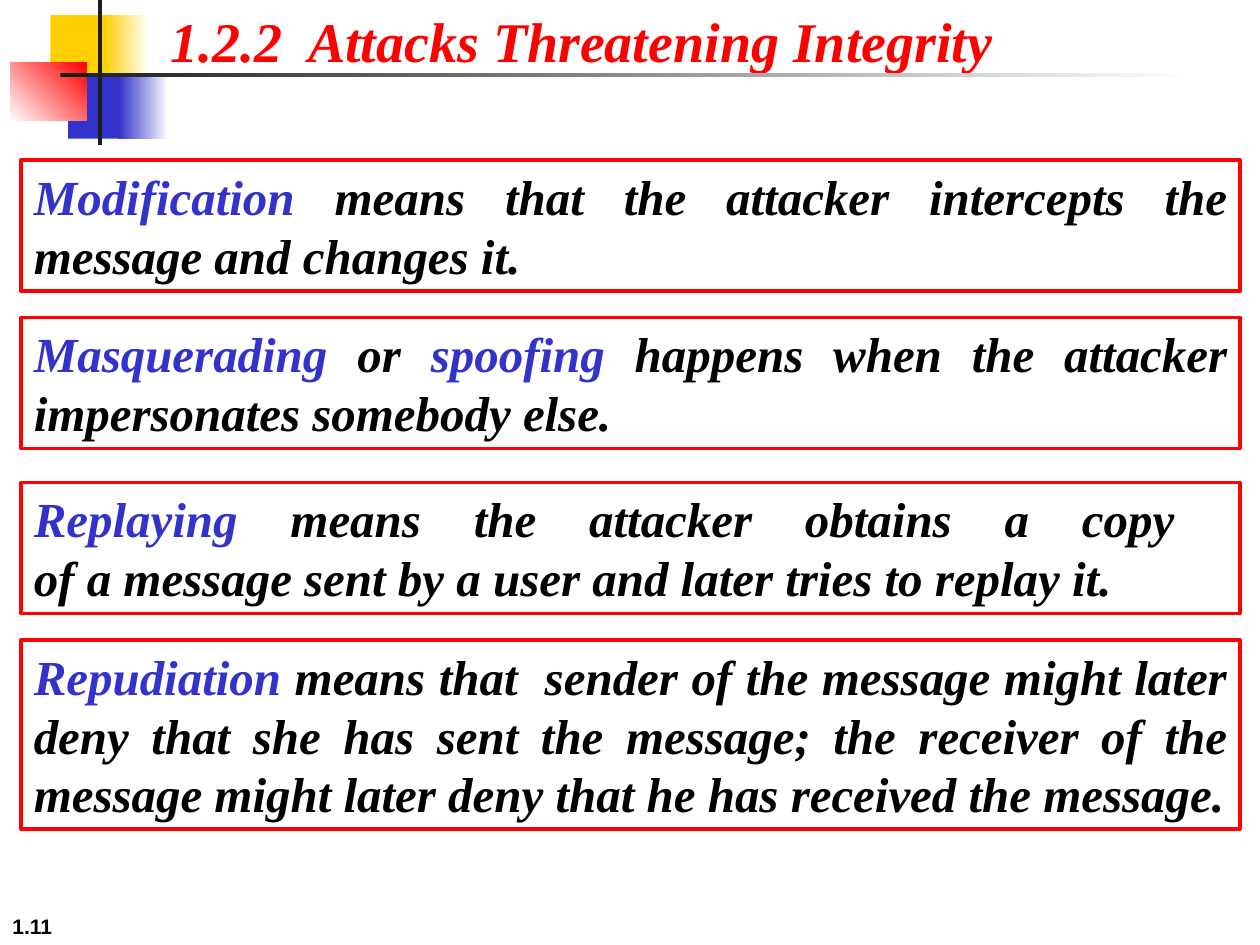
import pptx
import pptx.util
import pptx.dml.color
import pptx.enum.shapes
import pptx.enum.text

Inches = pptx.util.Inches
Pt = pptx.util.Pt

RED, BLUE, YELLOW = "FF0000", "3333CC", "FFCF01"
BLACK, CHARCOAL, WHITE = "000000", "1C1C1C", "FFFFFF"

DECORATION = [
    ((0.4, 0.12, 0.48, 0.52), [YELLOW], 0),
    ((0.82, 0.12, 0.36, 0.52), [YELLOW, WHITE], 0),
    ((0.54, 0.58, 0.46, 0.52), [BLUE], 0),
    ((0.94, 0.58, 0.4, 0.52), [BLUE, WHITE], 0),
    ((0.08, 0.5, 0.61, 0.46), [WHITE, RED], 45),
    ((0.78, 0, 0.03, 1.15), [CHARCOAL], 0),
    ((0.48, 0.58, 9, 0.03), [CHARCOAL, WHITE], 0),
]

DEFINITIONS = [
    (1.27, 1.04, "*Modification *means that the attacker intercepts the "
     "message and changes it."),
    (2.52, 1.04, "*Masquerading* or *spoofing* happens when the attacker "
     "impersonates somebody else."),
    (3.83, 1.04, "*Replaying* means the attacker obtains a copy \n"
     "of a message sent by a user and later tries to replay it. "),
    (5.08, 1.5, "*Repudiation* means that  sender of the message might later "
     "deny that she has sent the message; the receiver of the message might "
     "later deny that he has received the message."),
]


def rgb(value):
    return pptx.dml.color.RGBColor.from_string(value)


def set_font(font, name, size, italic):
    font.name = name
    font.size = Pt(size)
    font.bold = True
    font.italic = italic


def add_rectangle(slide, box):
    rectangle = slide.shapes.add_shape(
        pptx.enum.shapes.MSO_SHAPE.RECTANGLE, *map(Inches, box))
    rectangle.shadow.inherit = False
    return rectangle


def add_decoration(slide, box, colours, angle):
    block = add_rectangle(slide, box)
    block.line.fill.background()
    if len(colours) == 1:
        block.fill.solid()
        block.fill.fore_color.rgb = rgb(colours[0])
        return
    block.fill.gradient()
    block.fill.gradient_angle = angle
    for stop, colour in zip(block.fill.gradient_stops, colours):
        stop.color.rgb = rgb(colour)


def add_page_number(slide, number):
    page = slide.shapes.add_textbox(*map(Inches, (0, 7, 2.08, 0.5)))
    page.text_frame.word_wrap = True
    page.text_frame.vertical_anchor = pptx.enum.text.MSO_ANCHOR.BOTTOM
    paragraph = page.text_frame.paragraphs[0]
    paragraph.text = number
    set_font(paragraph.font, "Arial", 12, False)
    paragraph.font.color.rgb = rgb(BLACK)


def set_title(slide, words):
    title = slide.shapes.title
    title.left, title.top, title.width, title.height = map(
        Inches, (1.25, 0, 6.75, 0.64))
    frame = title.text_frame
    frame.text = words
    frame.word_wrap = False
    frame.auto_size = pptx.enum.text.MSO_AUTO_SIZE.NONE
    frame.vertical_anchor = pptx.enum.text.MSO_ANCHOR.TOP
    paragraph = frame.paragraphs[0]
    paragraph.alignment = pptx.enum.text.PP_ALIGN.LEFT
    set_font(paragraph.font, "Times New Roman", 32, True)
    paragraph.font.color.rgb = rgb(RED)


def add_definition(slide, top, height, marked_text):
    definition = add_rectangle(slide, (0.17, top, 9.67, height))
    definition.fill.background()
    definition.line.color.rgb = rgb(RED)
    definition.line.width = Pt(2.25)
    frame = definition.text_frame
    frame.word_wrap = True
    frame.vertical_anchor = pptx.enum.text.MSO_ANCHOR.TOP
    paragraph = frame.paragraphs[0]
    paragraph.alignment = pptx.enum.text.PP_ALIGN.JUSTIFY
    set_font(paragraph.font, "Times New Roman", 28, True)
    for index, part in enumerate(marked_text.split("*")):
        for line_index, words in enumerate(part.split("\n")):
            if line_index:
                paragraph.add_line_break()
            if words:
                run = paragraph.add_run()
                run.text = words
                run.font.color.rgb = rgb(BLUE if index % 2 else BLACK)


def main():
    presentation = pptx.Presentation()
    presentation.slide_width = Inches(10)
    presentation.slide_height = Inches(7.5)
    slide = presentation.slides.add_slide(presentation.slide_layouts[5])
    add_page_number(slide, "1.11")
    for box, colours, angle in DECORATION:
        add_decoration(slide, box, colours, angle)
    set_title(slide, "1.2.2  Attacks Threatening Integrity")
    for top, height, marked_text in DEFINITIONS:
        add_definition(slide, top, height, marked_text)
    presentation.save("out.pptx")


if __name__ == "__main__":
    main()
